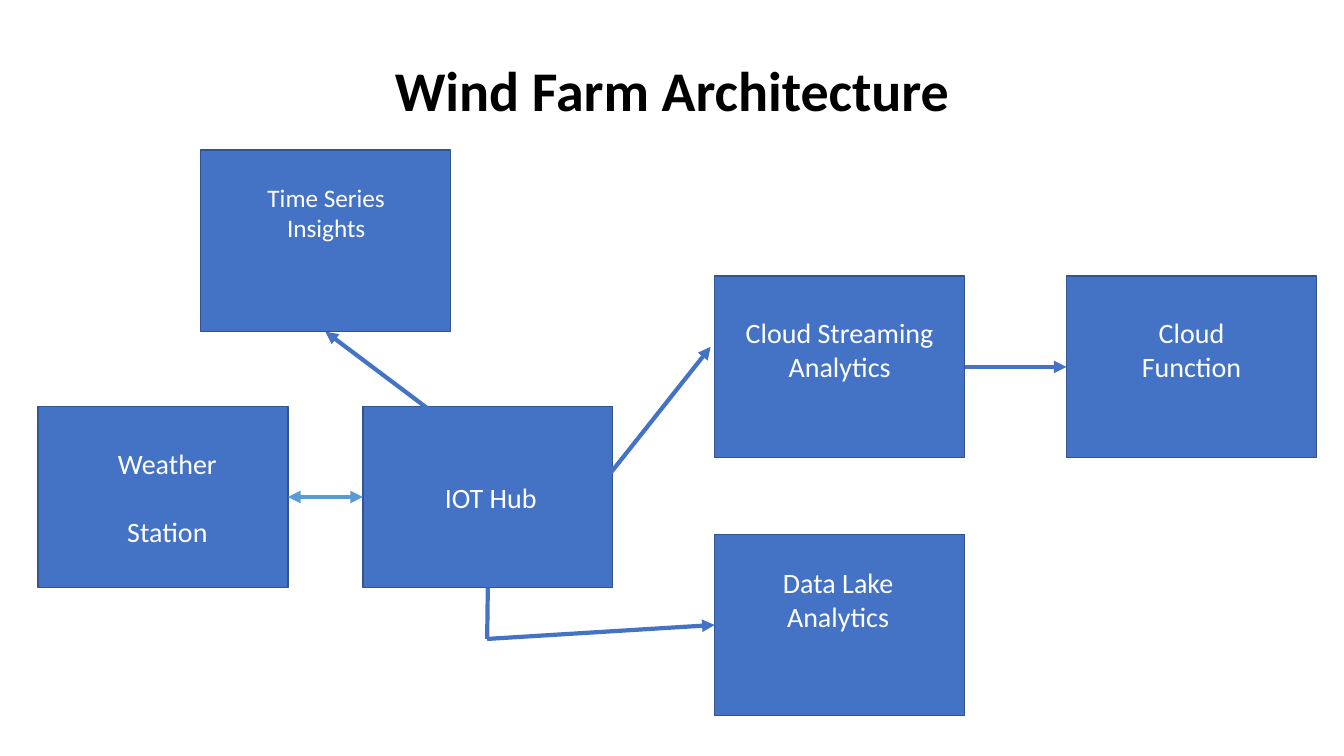
import pptx
import pptx.dml.color
import pptx.enum.shapes
import pptx.enum.text
import pptx.oxml
import pptx.oxml.ns
import pptx.util

Pt = pptx.util.Pt
COLORS = {"box": "4472C4", "edge": "325491", "sensor": "5B9BD5",
          "title": "000000", "label": "FFFFFF"}
BOX_WIDTH, BOX_HEIGHT = 178.5, 129.6
HUB_TOP, STREAM_TOP = 290.2, 197.3

# name: left, top, label lines, label format
# A top inset places the label; without one it is centred vertically.
BOXES = {
    "station": (27.2, HUB_TOP, ["Weather", "Station"], {"gap": 24.4, "shift": 3}),
    "hub": (259.2, HUB_TOP, ["IOT Hub"], {"shift": 2}),
    "lake": (510.5, 381.6, ["Data Lake", "Analytics"], {"inset": 22.3, "shift": -1}),
    "stream": (510.5, STREAM_TOP, ["Cloud Streaming", "Analytics"], {"inset": 28}),
    "function": (761.8, STREAM_TOP, ["Cloud", "Function"], {"inset": 28}),
    "series": (143.2, 107.3, ["Time Series", "Insights"],
               {"inset": 23, "size": 18, "shift": 0.5}),
}
SITES = {"top": 0, "left": 1, "bottom": 2, "right": 3}
ELBOW = (348, 456.4)

# start, end, colour, arrowheads; an end is a point or a (box, side) pair
LINKS = [
    (("station", "right"), ("hub", "left"), "sensor", ("headEnd", "tailEnd")),
    ((434, 340.6), (507.6, 247.7), "box", ("tailEnd",)),
    (("hub", "bottom"), ELBOW, "box", ()),
    (ELBOW, ("lake", "left"), "box", ("tailEnd",)),
    (("stream", "right"), ("function", "left"), "box", ("tailEnd",)),
    ((308.2, 293.8), ("series", "bottom"), "box", ("tailEnd",)),
]


def color(name):
    """Return the named colour."""
    return pptx.dml.color.RGBColor.from_string(COLORS[name])


def write(shape, lines, size=20, fill="label", bold=False, inset=None,
          shift=0, gap=0, spacing=1.0, anchor="MIDDLE"):
    """Write centred lines into a shape, moved sideways by shift."""
    frame = shape.text_frame
    frame.word_wrap = True
    frame.margin_left = Pt(7.2 + max(2 * shift, 0))
    frame.margin_right = Pt(7.2 + max(-2 * shift, 0))
    if inset is not None:
        anchor = "TOP"
        frame.margin_top = Pt(inset)
    frame.vertical_anchor = pptx.enum.text.MSO_ANCHOR[anchor]
    for index, line in enumerate(lines):
        para = frame.add_paragraph() if index else frame.paragraphs[0]
        para.alignment = pptx.enum.text.PP_ALIGN.CENTER
        para.line_spacing = spacing
        para.space_before = Pt(gap if index else 0)
        span = para.add_run()
        span.text = line
        span.font.name = "Calibri"
        span.font.size = Pt(size)
        span.font.bold = bold
        span.font.color.rgb = color(fill)


def add_box(page, left, top, lines, style):
    """Draw one labelled component."""
    box = page.shapes.add_shape(pptx.enum.shapes.MSO_SHAPE.RECTANGLE,
                                Pt(left), Pt(top), Pt(BOX_WIDTH), Pt(BOX_HEIGHT))
    box.shadow.inherit = False
    box.fill.solid()
    box.fill.fore_color.rgb = color("box")
    box.line.color.rgb = color("edge")
    box.line.width = Pt(1)
    write(box, lines, **style)
    return box


def add_link(page, boxes, start, end, tint, heads):
    """Draw a line, attaching each end that names a box."""
    points = [(0, 0) if end_point[0] in boxes else end_point
              for end_point in (start, end)]
    link = page.shapes.add_connector(
        pptx.enum.shapes.MSO_CONNECTOR.STRAIGHT,
        *[Pt(value) for point in points for value in point])
    for place, attach in ((start, link.begin_connect), (end, link.end_connect)):
        if place[0] in boxes:
            attach(boxes[place[0]], SITES[place[1]])
    link.line.color.rgb = color(tint)
    link.line.width = Pt(3)
    outline = link.line._get_or_add_ln()
    for head in heads:
        arrow = pptx.oxml.parse_xml(
            f'<a:{head} {pptx.oxml.ns.nsdecls("a")} type="triangle"/>')
        outline.append(arrow)
    link._element.spPr.append(pptx.oxml.parse_xml(
        f'<a:effectLst {pptx.oxml.ns.nsdecls("a")}/>'))


deck = pptx.Presentation()
deck.slide_width, deck.slide_height = Pt(960), Pt(540)
page = deck.slides.add_slide(deck.slide_layouts[6])

title = page.shapes.add_textbox(Pt(120), Pt(46), Pt(720), Pt(46))
write(title, ["Wind Farm Architecture"], size=40, fill="title", bold=True,
      spacing=0.9, anchor="BOTTOM")

boxes = {name: add_box(page, *parts) for name, parts in BOXES.items()}
for parts in LINKS:
    add_link(page, boxes, *parts)

deck.save("out.pptx")
